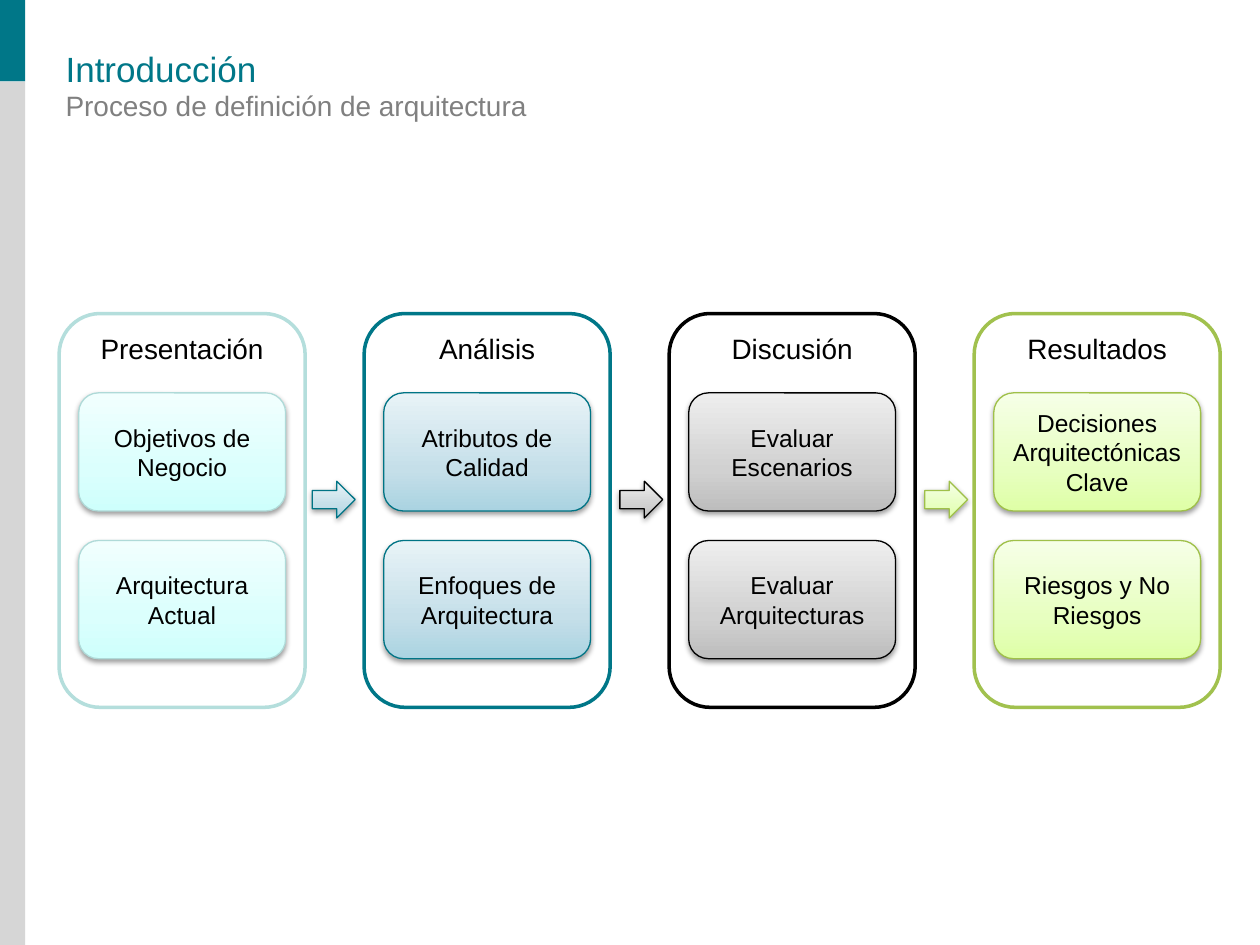
import copy

import pptx
import pptx.dml.color
import pptx.enum.shapes
import pptx.enum.text
import pptx.oxml
import pptx.oxml.ns
import pptx.util

Pt = pptx.util.Pt
RGBColor = pptx.dml.color.RGBColor
Shape = pptx.enum.shapes.MSO_SHAPE
Anchor = pptx.enum.text.MSO_ANCHOR
Align = pptx.enum.text.PP_ALIGN

TEAL = RGBColor(0x00, 0x77, 0x88)
DARK_TEAL = RGBColor(0x00, 0x74, 0x85)
MINT = RGBColor(0xB4, 0xDE, 0xDC)
DARK_MINT = RGBColor(0xAF, 0xDA, 0xD8)
GREEN = RGBColor(0xA1, 0xC1, 0x4E)
DARK_GREEN = RGBColor(0x9F, 0xC0, 0x49)
BLACK = RGBColor(0x00, 0x00, 0x00)
WHITE = RGBColor(0xFF, 0xFF, 0xFF)
GREY = RGBColor(0x80, 0x80, 0x80)
LIGHT_GREY = RGBColor(0xD6, 0xD6, 0xD6)

# Gradient colours run from the bottom of a shape to its top.
STOP_POSITIONS = (0, 0.35, 1)
MINT_FADE = (RGBColor(0xCE, 0xFF, 0xFC), RGBColor(0xDB, 0xFF, 0xFD), RGBColor(0xF1, 0xFF, 0xFE))
BLUE_FADE = (RGBColor(0xAA, 0xD3, 0xE1), RGBColor(0xC5, 0xDF, 0xE9), RGBColor(0xE8, 0xF3, 0xF7))
GREY_FADE = (RGBColor(0xBD, 0xBD, 0xBD), RGBColor(0xD1, 0xD1, 0xD1), RGBColor(0xEE, 0xEE, 0xEE))
GREEN_FADE = (RGBColor(0xDE, 0xFF, 0xA6), RGBColor(0xE7, 0xFF, 0xC0), RGBColor(0xF6, 0xFF, 0xE7))

SHADOW_XML = (
    f'<a:outerShdw {pptx.oxml.ns.nsdecls("a")} blurRad="40000" dist="20000" dir="5400000" '
    'rotWithShape="0"><a:srgbClr val="000000"><a:alpha val="38000"/></a:srgbClr></a:outerShdw>'
)

# Heading, panel line, box line, box gradient, box texts, left of the arrow leading in
STAGES = (
    ("Presentación", MINT, DARK_MINT, MINT_FADE,
     ("Objetivos de Negocio", "Arquitectura Actual"), None),
    ("Análisis", TEAL, DARK_TEAL, BLUE_FADE,
     ("Atributos de Calidad", "Enfoques de Arquitectura"), 178.5),
    ("Discusión", BLACK, BLACK, GREY_FADE,
     ("Evaluar Escenarios", "Evaluar Arquitecturas"), 354.25),
    ("Resultados", GREEN, DARK_GREEN, GREEN_FADE,
     ("Decisiones Arquitectónicas Clave", "Riesgos y No Riesgos"), 528.5),
)
PANEL_LEFT, PANEL_TOP, PANEL_WIDTH, PANEL_HEIGHT = 33.8, 179.2, 140.6, 225
PANEL_STEP = 174.3
BOX_INSET, BOX_TOP, BOX_HEIGHT, BOX_STEP = 11.2, 224.5, 67.5, 84.4
BOX_WIDTH = PANEL_WIDTH - 2 * BOX_INSET


class ProcessSlide:
    font = "Arial"

    def __init__(self, page):
        self.page = page

    def set_text(self, frame, text, size, color, align, anchor):
        frame.text = text
        frame.word_wrap = True
        frame.vertical_anchor = anchor
        para = frame.paragraphs[0]
        para.alignment = align
        for span in para.runs:
            span.font.name = self.font
            span.font.size = Pt(size)
            span.font.color.rgb = color

    def label(self, text, left, top, width, height, size, color, anchor):
        box = self.page.shapes.add_textbox(Pt(left), Pt(top), Pt(width), Pt(height))
        frame = box.text_frame
        frame.margin_left = frame.margin_right = frame.margin_top = frame.margin_bottom = 0
        self.set_text(frame, text, size, color, Align.LEFT, anchor)

    def shape(self, parent, kind, left, top, width, height, line=None, weight=0.75):
        """Add an unshadowed shape to a slide or group; without a line colour it has no outline."""
        shape = parent.shapes.add_shape(kind, Pt(left), Pt(top), Pt(width), Pt(height))
        shape.shadow.inherit = False
        if line is None:
            shape.line.fill.background()
        else:
            shape.line.color.rgb = line
            shape.line.width = Pt(weight)
        return shape

    def bar(self, top, height, color):
        bar = self.shape(self.page, Shape.RECTANGLE, 0, top, 14.4, height)
        bar.fill.solid()
        bar.fill.fore_color.rgb = color

    def shade(self, shape, colors):
        """Give the shape a vertical three-stop gradient and a soft shadow below."""
        shape.fill.gradient()
        shape.fill.gradient_angle = 90
        properties = shape._element.spPr
        stop_list = properties.find(".//" + pptx.oxml.ns.qn("a:gsLst"))
        stop_list.append(copy.deepcopy(stop_list[-1]))
        for stop, position, color in zip(shape.fill.gradient_stops, STOP_POSITIONS, colors):
            stop.position = position
            stop.color.rgb = color
        effects = properties.find(pptx.oxml.ns.qn("a:effectLst"))
        effects.append(pptx.oxml.parse_xml(SHADOW_XML))

    def arrow(self, left, line, colors):
        arrow = self.shape(self.page, Shape.RIGHT_ARROW, left, 275, 24.5, 21, line)
        self.shade(arrow, colors)

    def stage(self, left, heading, panel_line, box_line, colors, texts):
        group = self.page.shapes.add_group_shape()
        panel = self.shape(group, Shape.ROUNDED_RECTANGLE, left, PANEL_TOP,
                           PANEL_WIDTH, PANEL_HEIGHT, panel_line, 2)
        panel.fill.solid()
        panel.fill.fore_color.rgb = WHITE
        self.set_text(panel.text_frame, heading, 16, BLACK, Align.CENTER, Anchor.TOP)
        for row, text in enumerate(texts):
            box = self.shape(group, Shape.ROUNDED_RECTANGLE, left + BOX_INSET,
                             BOX_TOP + row * BOX_STEP, BOX_WIDTH, BOX_HEIGHT, box_line)
            self.shade(box, colors)
            self.set_text(box.text_frame, text, 14, BLACK, Align.CENTER, Anchor.MIDDLE)


def main():
    deck = pptx.Presentation()
    deck.slide_width, deck.slide_height = Pt(720), Pt(540)
    slide = ProcessSlide(deck.slides.add_slide(deck.slide_layouts[6]))

    slide.bar(0, 46.6, TEAL)
    slide.bar(46.6, 493.4, LIGHT_GREY)
    slide.label("Introducción", 37.5, 27.4, 665, 23, 20, TEAL, Anchor.MIDDLE)
    slide.label("Proceso de definición de arquitectura", 37.5, 50.4, 665, 18, 16, GREY, Anchor.TOP)

    for column, (heading, panel_line, box_line, colors, texts, arrow_left) in enumerate(STAGES):
        left = PANEL_LEFT + column * PANEL_STEP
        slide.stage(left, heading, panel_line, box_line, colors, texts)
        if arrow_left is not None:
            slide.arrow(arrow_left, box_line, colors)

    deck.save("out.pptx")


if __name__ == "__main__":
    main()
